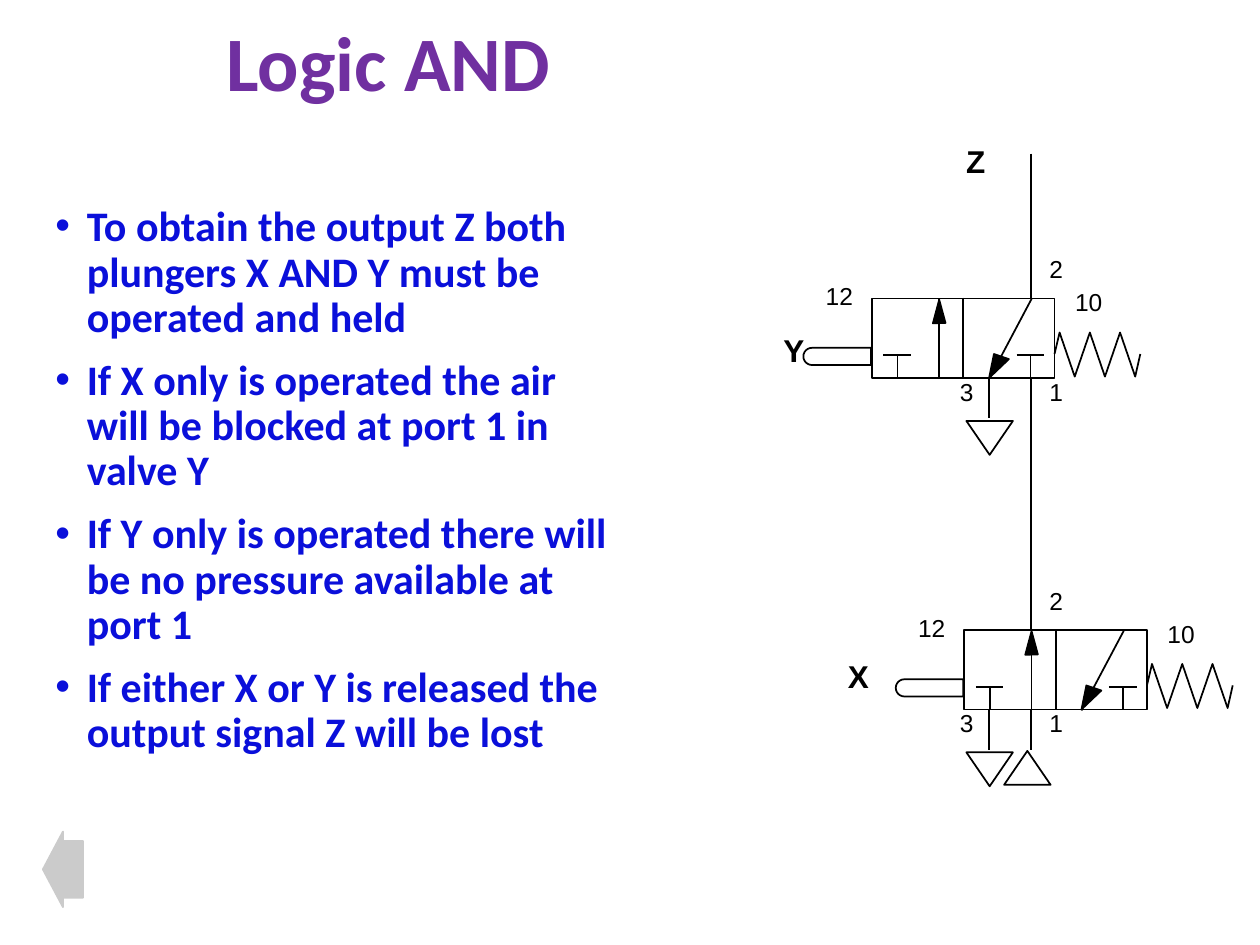
import math
from dataclasses import dataclass

from lxml import etree
from pptx import Presentation
from pptx import util as u
from pptx.dml.color import RGBColor
from pptx.enum import shapes, text
from pptx.oxml import ns

BLACK, PURPLE, BLUE, GREY = "000000", "7030A0", "0A0FDA", "CBCBCB"
VALVE_W, VALVE_H = 104.4, 45.5
EXHAUST_X, SUPPLY_X = 565.2, 589.3
PORT_3_LABEL_X, PORT_1_LABEL_X = 541.4, 592.6
RULES = [
    "To obtain the output Z both plungers X AND Y must be operated and held",
    "If X only is operated the air will be blocked at port 1 in valve Y",
    "If Y only is operated there will be no pressure available at port 1",
    "If either X or Y is released the output signal Z will be lost",
]

Point = tuple[float, float]


@dataclass(frozen=True)
class Valve:
    name: str
    left: float
    top: float
    name_left: float
    name_top: float

    def at(self, *offsets: Point) -> list[Point]:
        return [(self.left + x, self.top + y) for x, y in offsets]


VALVES = [
    Valve("Y", 498.2, 170.6, 440.6, 185.8),
    Valve("X", 551, 360, 477.4, 372.2),
]


def rgb(value: str) -> RGBColor:
    return RGBColor.from_string(value)


def style(shape, fill: str | None = None, line: str = BLACK):
    shape.shadow.inherit = False
    if fill:
        shape.fill.solid()
        shape.fill.fore_color.rgb = rgb(fill)
    else:
        shape.fill.background()
    shape.line.color.rgb = rgb(line)
    shape.line.width = u.Pt(1)
    return shape


def add_preset(slide, kind, left: float, top: float, width: float, height: float, **look):
    shape = slide.shapes.add_shape(kind, u.Pt(left), u.Pt(top), u.Pt(width), u.Pt(height))
    return style(shape, **look)


def add_line(slide, start: Point, end: Point) -> None:
    line = slide.shapes.add_connector(
        shapes.MSO_CONNECTOR.STRAIGHT, *(u.Pt(v) for v in (*start, *end)))
    line.line.color.rgb = rgb(BLACK)
    line.line.width = u.Pt(1)
    etree.SubElement(line._element.spPr, ns.qn("a:effectLst"))


def add_outline(slide, points: list[Point], close: bool = True, fill: str | None = None) -> None:
    corners = [(u.Pt(x), u.Pt(y)) for x, y in points]
    builder = slide.shapes.build_freeform(*corners[0])
    builder.add_line_segments(corners[1:], close=close)
    style(builder.convert_to_shape(), fill)


def add_bullet(paragraph, color: str) -> None:
    props = paragraph._p.get_or_add_pPr()
    props.set("marL", str(u.Pt(18)))
    props.set("indent", str(-u.Pt(18)))
    bullet_color = etree.SubElement(props, ns.qn("a:buClr"))
    etree.SubElement(bullet_color, ns.qn("a:srgbClr"), val=color)
    etree.SubElement(props, ns.qn("a:buFont"), typeface="Arial")
    etree.SubElement(props, ns.qn("a:buChar"), char="•")


def add_text(slide, lines: list[str], left: float, top: float, width: float, height: float, *,
             size: float = 14, font: str = "Arial", color: str = BLACK, bold: bool = False,
             wrap: bool = False, bullets: bool = False, spacing: float = 1,
             anchor=text.MSO_ANCHOR.TOP) -> None:
    frame = slide.shapes.add_textbox(
        u.Pt(left), u.Pt(top), u.Pt(width), u.Pt(height)).text_frame
    frame.word_wrap = wrap
    frame.auto_size = text.MSO_AUTO_SIZE.NONE if wrap else text.MSO_AUTO_SIZE.SHAPE_TO_FIT_TEXT
    frame.vertical_anchor = anchor
    for index, line in enumerate(lines):
        paragraph = frame.add_paragraph() if index else frame.paragraphs[0]
        if bullets:
            add_bullet(paragraph, color)
        paragraph.line_spacing = spacing
        if index:
            paragraph.space_before = u.Pt(10)
        run = paragraph.add_run()
        run.text = line
        run.font.size = u.Pt(size)
        run.font.name = font
        run.font.bold = bold
        run.font.color.rgb = rgb(color)


def add_label(slide, label: str, left: float, top: float) -> None:
    add_text(slide, [label], left, top, 14.6 + 7.8 * len(label), 24)


def add_name(slide, name: str, left: float, top: float) -> None:
    add_text(slide, [name], left, top, 26.6, 28.8, size=18, bold=True)


def draw_plunger(slide, valve: Valve) -> None:
    radius, tip, middle = 4.9, -34.2, 33.1
    angles = [math.radians(90 + 15 * step) for step in range(13)]
    rounded_end = [(tip + radius * math.cos(a), middle + radius * math.sin(a)) for a in angles]
    add_outline(slide, valve.at((-0.5, middle - radius), (-0.5, middle + radius), *rounded_end))


def draw_spring(slide, valve: Valve) -> None:
    peaks = [(VALVE_W + 2.9 + 8.64 * step, 44.6 if step % 2 else 19.4) for step in range(6)]
    coil = valve.at((VALVE_W, 31.7), *peaks, (VALVE_W + 49, 31.7))
    add_outline(slide, coil, close=False)


def draw_valve(slide, valve: Valve) -> None:
    add_preset(slide, shapes.MSO_SHAPE.RECTANGLE, valve.left, valve.top, VALVE_W, VALVE_H)
    segments = [
        ((52.3, -0.5), (52.3, 46)),
        ((38.5, 46), (38.5, 0)),
        ((91.4, 0), (67, 46)),
    ]
    for blocked_x in (14.6, 90.7):
        segments += [((blocked_x - 8, 32.4), (blocked_x + 7.8, 32.4)),
                     ((blocked_x, 32.4), (blocked_x, 46))]
    for segment in segments:
        add_line(slide, *valve.at(*segment))
    add_outline(slide, valve.at((38.5, 0.7), (34.9, 14.2), (42.1, 14)), fill=BLACK)
    add_outline(slide, valve.at((67, 45.4), (69.8, 31.7), (78.3, 34.6)), fill=BLACK)
    draw_plunger(slide, valve)
    draw_spring(slide, valve)

    bottom = valve.top + VALVE_H
    add_line(slide, (EXHAUST_X, bottom), (EXHAUST_X, bottom + 23))
    exhaust = add_preset(slide, shapes.MSO_SHAPE.ISOSCELES_TRIANGLE,
                         552.2, bottom + 24.4, 26.6, 19.4)
    exhaust.rotation = 180

    add_label(slide, "12", valve.left - 33.5, valve.top - 13.3)
    add_label(slide, "10", valve.left + 109, valve.top - 10.1)
    add_label(slide, "1", PORT_1_LABEL_X, valve.top + 41)
    add_label(slide, "2", PORT_1_LABEL_X, valve.top - 28.8)
    add_label(slide, "3", PORT_3_LABEL_X, valve.top + 41)
    add_name(slide, valve.name, valve.name_left, valve.name_top)


def main() -> None:
    deck = Presentation()
    deck.slide_width, deck.slide_height = u.Pt(720), u.Pt(540)
    slide = deck.slides.add_slide(deck.slide_layouts[6])

    add_text(slide, ["Logic AND"], 122.4, 8.6, 537.8, 58.3, size=44, font="Calibri",
             color=PURPLE, bold=True, wrap=True, spacing=0.9, anchor=text.MSO_ANCHOR.MIDDLE)
    add_text(slide, RULES, 24.5, 113.8, 329.8, 354.2, size=24, font="Calibri",
             color=BLUE, bold=True, wrap=True, bullets=True, spacing=0.9)

    for valve in VALVES:
        draw_valve(slide, valve)

    upper, lower = VALVES
    supply_top = lower.top + VALVE_H
    for start, end in ((87.8, upper.top), (upper.top + VALVE_H, lower.top),
                       (supply_top, supply_top + 23)):
        add_line(slide, (SUPPLY_X, start), (SUPPLY_X, end))
    add_preset(slide, shapes.MSO_SHAPE.ISOSCELES_TRIANGLE, 573.8, supply_top + 23.6, 26.6, 19.4)
    add_name(slide, "Z", 545, 77.8)

    back = add_preset(slide, shapes.MSO_SHAPE.LEFT_ARROW, 24.5, 475.2, 23, 43.2,
                      fill=GREY, line=GREY)
    back.adjustments[0] = 0.75
    back.adjustments[1] = 0.5
    deck.save("out.pptx")


if __name__ == "__main__":
    main()
